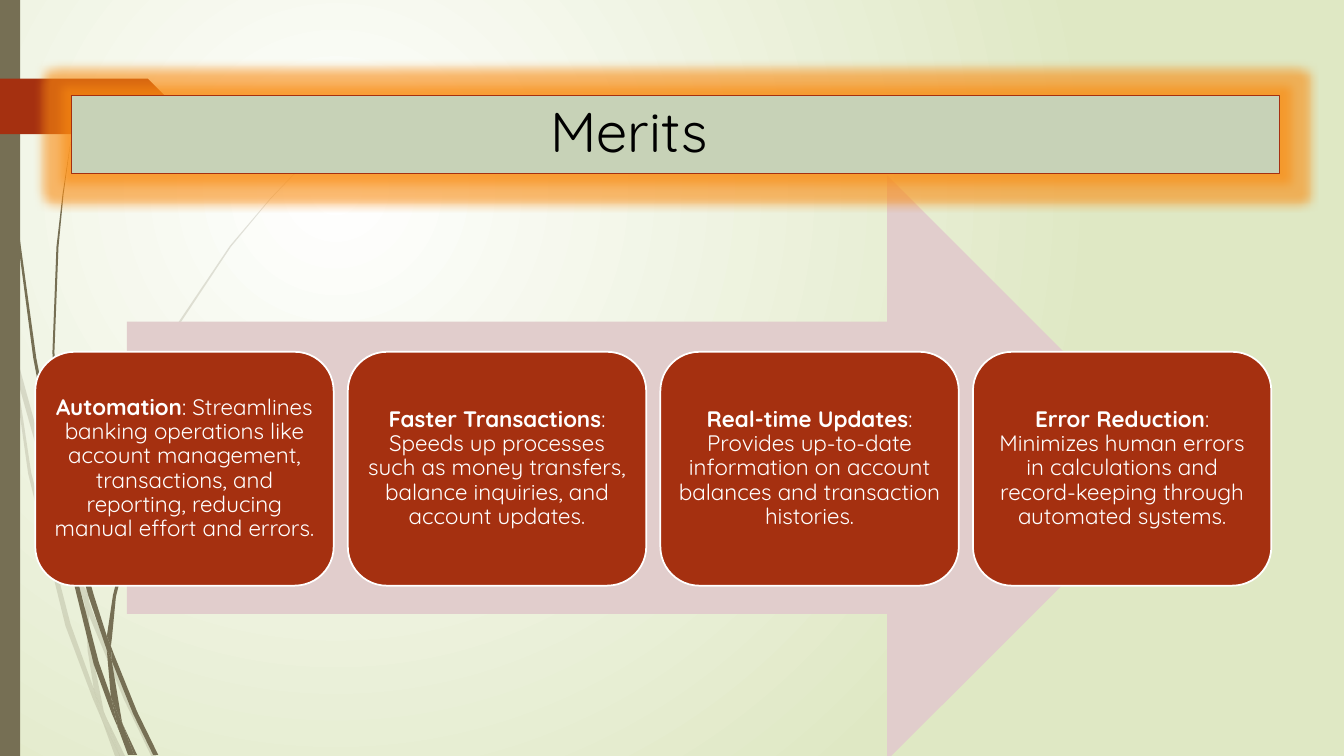
from dataclasses import dataclass

import lxml.etree
import pptx
import pptx.dml.color
import pptx.enum.shapes
import pptx.enum.text
import pptx.oxml
import pptx.oxml.ns
import pptx.util

Inches = pptx.util.Inches
Pt = pptx.util.Pt
SHAPES = pptx.enum.shapes.MSO_SHAPE
ALIGN = pptx.enum.text.PP_ALIGN


@dataclass(frozen=True)
class Theme:
    font: str = "Quicksand"
    title_size: int = 40
    card_size: int = 16
    black: str = "000000"
    white: str = "FFFFFF"
    pale_green: str = "DFE8C4"
    sage: str = "C7D2B7"
    olive: str = "766F54"
    rust: str = "A53010"
    rose: str = "E1CDCC"
    glow: str = "F98B10"


THEME = Theme()

CARDS = [
    ("Automation", ": Streamlines banking operations like account management, "
     "transactions, and reporting, reducing manual effort and errors."),
    ("Faster Transactions", ": Speeds up processes such as money transfers, "
     "balance inquiries, and account updates."),
    ("Real-time Updates", ": Provides up-to-date information on account "
     "balances and transaction histories."),
    ("Error Reduction", ": Minimizes human errors in calculations and "
     "record-keeping through automated systems."),
]

FAINT_WISPS = [
    [(0.11, 3.5), (0.09, 3.22), (0, 2.82), (0, 2.99), (0.1, 3.44)],
    [(0.58, 5.22), (0.84, 5.99), (0.85, 5.86), (0.62, 5.2), (0.14, 3.45), (0.17, 3.76)],
    [(0.92, 6.07), (0.88, 5.96), (0.88, 6.1), (1.23, 6.94), (1.5, 7.5), (1.55, 7.5),
     (1.27, 6.92)],
    [(1.19, 7.5), (1.24, 7.5), (1.05, 7.11)],
    [(0.93, 6.83), (0.7, 6.19), (0.31, 4.69), (0.17, 3.76), (0.11, 3.5), (0.28, 4.7),
     (0.65, 6.21), (0.92, 6.93), (1.01, 7.14), (0.99, 7.07)],
    [(0.84, 5.99), (0.87, 6.46), (0.93, 6.83), (0.96, 6.92), (1.05, 7.11), (1.03, 7.06),
     (0.91, 6.46), (0.88, 6.1), (0.88, 6.08)],
    [(0.88, 5.84), (0.95, 5.22), (1.1, 4.62), (1.6, 3.49), (2.29, 2.45), (2.68, 1.98),
     (2.9, 1.75), (3.12, 1.54), (3.12, 1.53), (2.89, 1.75), (2.68, 1.97), (2.28, 2.44),
     (1.58, 3.48), (1.07, 4.61), (0.92, 5.22), (0.85, 5.84), (0.85, 5.86), (0.88, 5.96)],
    [(1.01, 7.14), (1.14, 7.5), (1.19, 7.5)],
    [(0.88, 6.08), (0.88, 6.1), (0.88, 5.96), (0.85, 5.86), (0.84, 5.99)],
    [(0.96, 6.92), (0.93, 6.83), (0.99, 7.07), (1.01, 7.14), (1.19, 7.5), (1.05, 7.11)],
]

BOLD_WISPS = [
    [(0.07, 1.1), (0.17, 2.33), (0.33, 3.55), (0.56, 4.77), (0.57, 4.81), (0.55, 4.57),
     (0.55, 4.53), (0.36, 3.55), (0.19, 2.32), (0.08, 1.09), (0.05, 0.48), (0.04, 0),
     (0.03, 0), (0.04, 0.48)],
    [(0.88, 5.92), (1.06, 6.45), (1.06, 6.33), (1.06, 6.31), (0.93, 5.9), (0.6, 4.72),
     (0.64, 5.05)],
    [(1.13, 6.49), (1.1, 6.41), (1.11, 6.56), (1.32, 7.08), (1.52, 7.49), (1.57, 7.49),
     (1.36, 7.06)],
    [(1.1, 6.91), (0.98, 6.57), (0.72, 5.56), (0.64, 5.05), (0.57, 4.77), (0.68, 5.57),
     (0.93, 6.59), (1.11, 7.08), (1.17, 7.22), (1.16, 7.17)],
    [(0.6, 4.72), (0.58, 4.53), (0.54, 3.49), (0.58, 2.45), (0.63, 1.93), (0.7, 1.41),
     (0.62, 1.93), (0.56, 2.45), (0.52, 3.49), (0.55, 4.49)],
    [(1.33, 7.49), (1.36, 7.49), (1.22, 7.19)],
    [(1.11, 6.33), (1.15, 5.92), (1.25, 5.52), (1.58, 4.76), (2.05, 4.06), (2.31, 3.74),
     (2.45, 3.59), (2.61, 3.44), (2.6, 3.44), (2.45, 3.58), (2.31, 3.73), (2.04, 4.05),
     (1.56, 4.74), (1.22, 5.51), (1.12, 5.91), (1.06, 6.31), (1.1, 6.41)],
    [(1.17, 7.22), (1.27, 7.49), (1.31, 7.49)],
    [(1.06, 6.45), (1.1, 6.91), (1.16, 7.06), (1.22, 7.19), (1.21, 7.16), (1.11, 6.56),
     (1.09, 6.51)],
    [(1.06, 6.45), (1.09, 6.51), (1.11, 6.56), (1.1, 6.41), (1.06, 6.31), (1.06, 6.33)],
    [(1.16, 7.06), (1.1, 6.91), (1.16, 7.17), (1.17, 7.22), (1.3, 7.49), (1.33, 7.49),
     (1.22, 7.19)],
]


def rgb(color):
    return pptx.dml.color.RGBColor.from_string(color)


def add_xml(parent, tag, **attributes):
    return lxml.etree.SubElement(parent, pptx.oxml.ns.qn(tag), attributes)


def paint(shape, fill, line=None, width=1):
    shape.shadow.inherit = False
    shape.fill.solid()
    shape.fill.fore_color.rgb = rgb(fill)
    if line:
        shape.line.color.rgb = rgb(line)
        shape.line.width = Pt(width)
    else:
        shape.line.fill.background()


def add_block(page, kind, place, fill, line=None, width=1):
    shape = page.shapes.add_shape(kind, *map(Inches, place))
    paint(shape, fill, line, width)
    return shape


def set_background(page):
    fill = page.background.fill
    fill.gradient()
    gradient = page.background._cSld.find(".//" + pptx.oxml.ns.qn("a:gradFill"))
    gradient.remove(gradient.find(pptx.oxml.ns.qn("a:lin")))
    for stop, color in zip(fill.gradient_stops, (THEME.white, THEME.pale_green)):
        stop.color.rgb = rgb(color)
    for stop, position in zip(fill.gradient_stops, (0, 1)):
        stop.position = position
    circle = add_xml(gradient, "a:path", path="circle")
    add_xml(circle, "a:fillToRect", l="50000", t="50000", r="100000", b="100000")


def add_wisp(page, points, opacity=100):
    corners = [(Inches(x), Inches(y)) for x, y in points]
    builder = page.shapes.build_freeform(*corners[0])
    builder.add_line_segments(corners[1:], close=True)
    wisp = builder.convert_to_shape()
    paint(wisp, THEME.olive)
    if opacity < 100:
        color = wisp._element.spPr.find(".//" + pptx.oxml.ns.qn("a:srgbClr"))
        add_xml(color, "a:alpha", val=str(opacity * 1000))


def add_glow(shape, radius, opacity):
    effects = shape._element.spPr.find(pptx.oxml.ns.qn("a:effectLst"))
    glow = add_xml(effects, "a:glow", rad=str(Inches(radius)))
    color = add_xml(glow, "a:srgbClr", val=THEME.glow)
    add_xml(color, "a:alpha", val=str(opacity * 1000))


def style_span(span, size, color, bold=False):
    span.font.name = THEME.font
    span.font.size = Pt(size)
    span.font.bold = bold
    span.font.color.rgb = rgb(color)


def prepare_paragraph(shape, align):
    frame = shape.text_frame
    frame.word_wrap = True
    frame.vertical_anchor = pptx.enum.text.MSO_ANCHOR.MIDDLE
    para = frame.paragraphs[0]
    para.alignment = align
    para.line_spacing = 0.9
    return para


def add_card(page, left, heading, detail):
    card = add_block(page, SHAPES.ROUNDED_RECTANGLE, (left, 3.49, 2.96, 2.32),
                     THEME.rust, THEME.white, 1.25)
    frame = card.text_frame
    frame.margin_left = frame.margin_right = Inches(0.07)
    frame.margin_top = frame.margin_bottom = Inches(0.07)
    para = prepare_paragraph(card, ALIGN.CENTER)
    for text, bold in ((heading, True), (detail, False)):
        span = para.add_run()
        span.text = text
        style_span(span, THEME.card_size, THEME.white, bold)


def add_title(page, text):
    title = add_block(page, SHAPES.RECTANGLE, (0.71, 0.95, 11.98, 0.77),
                      THEME.sage, THEME.rust, 0.75)
    add_glow(title, 0.19, 60)
    title.text_frame.margin_left = Inches(4.75)
    para = prepare_paragraph(title, ALIGN.LEFT)
    para.text = text
    style_span(para.runs[0], THEME.title_size, THEME.black)


def main():
    deck = pptx.Presentation()
    deck.slide_width = Inches(13.33)
    deck.slide_height = Inches(7.5)
    page = deck.slides.add_slide(deck.slide_layouts[6])
    set_background(page)
    for points in FAINT_WISPS:
        add_wisp(page, points, 20)
    for points in BOLD_WISPS:
        add_wisp(page, points)
    add_block(page, SHAPES.RECTANGLE, (0, 0, 0.2, 7.5), THEME.olive)
    add_block(page, SHAPES.PENTAGON, (0, 0.78, 1.74, 0.55), THEME.rust)
    add_block(page, SHAPES.RIGHT_ARROW, (1.26, 1.74, 10.44, 5.8), THEME.rose)
    for index, (heading, detail) in enumerate(CARDS):
        add_card(page, 0.35 + index * 3.1, heading, detail)
    add_title(page, "Merits")
    deck.save("out.pptx")


if __name__ == "__main__":
    main()
